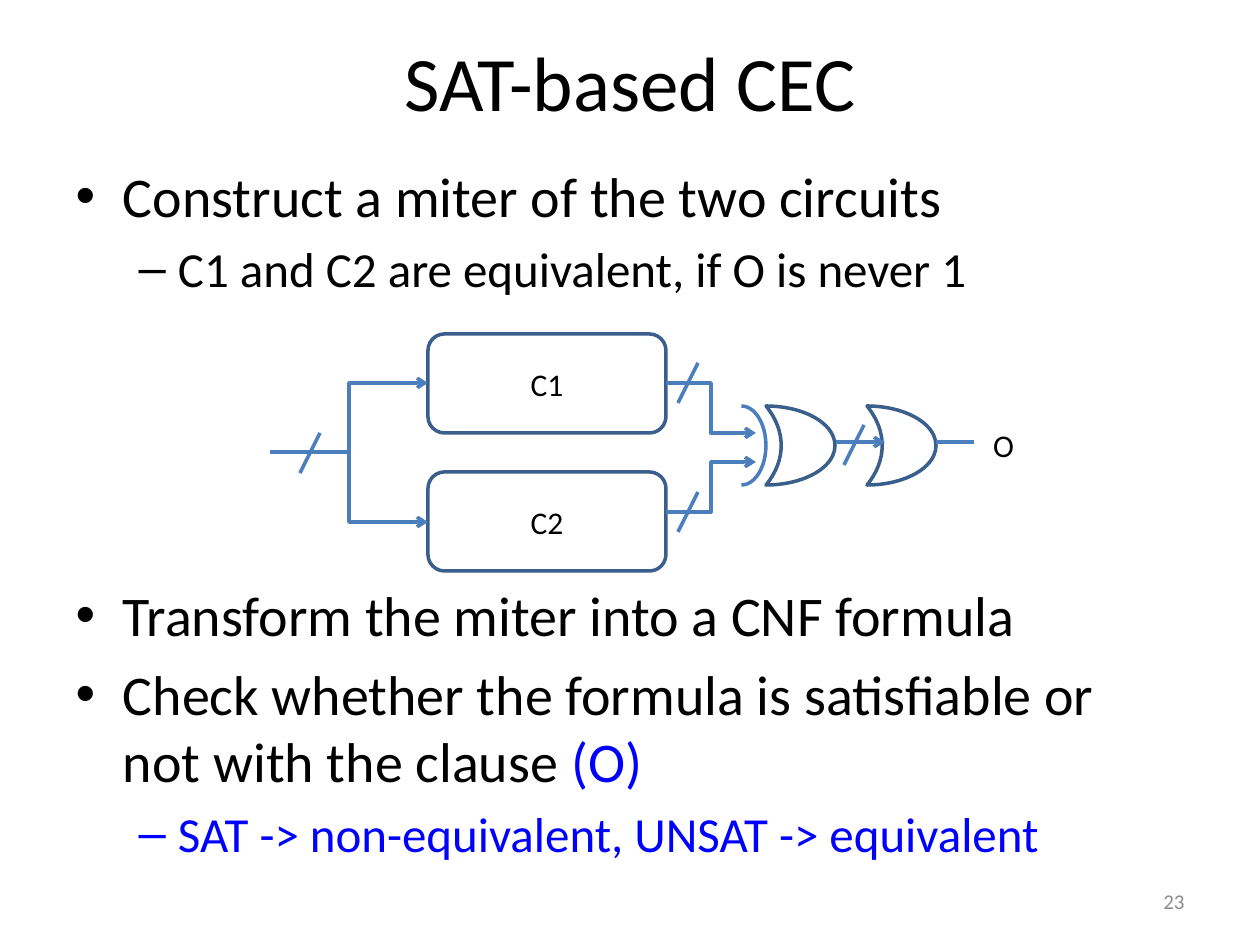
"""Build the slide that explains SAT-based equivalence checking with a miter circuit."""
import dataclasses

import lxml.etree
import pptx
import pptx.dml.color
import pptx.enum.shapes
import pptx.enum.text
import pptx.oxml.ns
import pptx.util

SCALE = 914400 / 126
SHAPES = pptx.enum.shapes.MSO_SHAPE
CONNECTORS = pptx.enum.shapes.MSO_CONNECTOR
ALIGN = pptx.enum.text.PP_ALIGN


@dataclasses.dataclass(frozen=True)
class Theme:
    font: str = "Calibri"
    text: str = "000000"
    accent: str = "0000FF"
    muted: str = "8C8C8C"
    outline: str = "3A5F8C"
    wire: str = "4B7EBC"
    title_size: int = 44
    body_sizes: tuple = (32, 28)
    label_size: int = 18
    number_size: int = 12
    line_width: int = 2


THEME = Theme()
BULLETS = [
    (0, [("Construct a miter of the two circuits", THEME.text)]),
    (1, [("C1 and C2 are equivalent, if O is never 1", THEME.text)]),
    (0, [("Transform the miter into a CNF formula", THEME.text)]),
    (0, [("Check whether the formula is satisfiable or not with the clause ", THEME.text),
         ("(O)", THEME.accent)]),
    (1, [("SAT -> non-equivalent, UNSAT -> equivalent", THEME.accent)]),
]
DIAGRAM_BULLET = 2
DIAGRAM_GAP = 162


def px(*lengths):
    """Turn pixel lengths into EMU."""
    return [round(length * SCALE) for length in lengths]


def rgb(color):
    """Return the colour object of a hex value."""
    return pptx.dml.color.RGBColor.from_string(color)


def place(shape, *box):
    """Move a shape to a pixel box."""
    shape.left, shape.top, shape.width, shape.height = px(*box)


def style_run(run, size, color):
    """Give a run the theme font, a size and a colour."""
    run.font.name = THEME.font
    run.font.size = pptx.util.Pt(size)
    run.font.color.rgb = rgb(color)


def set_text(shape, text, size, color=THEME.text, align=ALIGN.CENTER):
    """Write one formatted line, centred vertically."""
    frame = shape.text_frame
    frame.text = text
    frame.vertical_anchor = pptx.enum.text.MSO_ANCHOR.MIDDLE
    frame.paragraphs[0].alignment = align
    style_run(frame.paragraphs[0].runs[0], size, color)


def set_line(item, color):
    """Give a shape or connector the theme outline."""
    item.line.color.rgb = rgb(color)
    item.line.width = pptx.util.Pt(THEME.line_width)


def add_body(slide):
    """Fill the body placeholder, with room left for the diagram."""
    body = slide.placeholders[1]
    place(body, 63, 155, 1134, 745)
    frame = body.text_frame
    frame.auto_size = pptx.enum.text.MSO_AUTO_SIZE.NONE
    for index, (level, segments) in enumerate(BULLETS):
        paragraph = frame.add_paragraph() if index else frame.paragraphs[0]
        paragraph.level = level
        if index == DIAGRAM_BULLET:
            paragraph.space_before = pptx.util.Pt(DIAGRAM_GAP)
        for text, color in segments:
            run = paragraph.add_run()
            run.text = text
            style_run(run, THEME.body_sizes[level], color)


def add_outline(slide, kind, box, color=THEME.outline, adjustments=(), rotation=0):
    """Add an unfilled preset shape."""
    shape = slide.shapes.add_shape(kind, *px(*box))
    shape.shadow.inherit = False
    shape.fill.background()
    set_line(shape, color)
    shape.rotation = rotation
    for index, value in enumerate(adjustments):
        shape.adjustments[index] = value
    return shape


def add_circuit(slide, name, top):
    """Add a rounded box for one circuit."""
    shape = add_outline(slide, SHAPES.ROUNDED_RECTANGLE, (428, top, 238, 99))
    set_text(shape, name, THEME.label_size)


def add_gate(slide, left):
    """Add the body of an OR gate."""
    add_outline(slide, SHAPES.MOON, (left, 406, 69, 79), adjustments=[0.78], rotation=180)


def add_wire(slide, start, end, kind=CONNECTORS.STRAIGHT, arrow=False):
    """Add a wire, with an arrowhead at its end if asked."""
    wire = slide.shapes.add_connector(kind, *px(*start, *end))
    set_line(wire, THEME.wire)
    if arrow:
        head = lxml.etree.SubElement(wire.line._get_or_add_ln(), pptx.oxml.ns.qn("a:tailEnd"))
        head.set("type", "arrow")
    lxml.etree.SubElement(wire._element.spPr, pptx.oxml.ns.qn("a:effectLst"))


def add_bus_mark(slide, right, top):
    """Add the slash that marks a wire as a bus."""
    add_wire(slide, (right, top), (right - 20, top + 40))


def add_text_box(slide, box, text, size, color, align, wrap):
    """Add a text box with one line."""
    shape = slide.shapes.add_textbox(*px(*box))
    shape.text_frame.word_wrap = wrap
    set_text(shape, text, size, color, align)


def add_miter(slide):
    """Draw the two circuits, their wires and the output gates."""
    for name, top, middle in (("C1", 334, 383), ("C2", 472, 522)):
        add_circuit(slide, name, top)
        add_wire(slide, (270, 452), (428, middle), CONNECTORS.ELBOW, arrow=True)
    for start, end in ((383, 433), (512, 462)):
        add_wire(slide, (666, start), (756, end), CONNECTORS.ELBOW, arrow=True)
    add_outline(slide, SHAPES.ARC, (717, 406, 49, 79), THEME.wire, [162, 54.02])
    for left in (766, 867):
        add_gate(slide, left)
    add_wire(slide, (836, 442), (885, 442), arrow=True)
    add_wire(slide, (936, 442), (974, 442))
    for right, top in ((320, 433), (698, 363), (698, 492), (864, 425)):
        add_bus_mark(slide, right, top)
    add_text_box(slide, (980, 420, 47, 50), "O", THEME.label_size, THEME.text,
                 ALIGN.CENTER, False)


def main():
    """Build and save the slide."""
    presentation = pptx.Presentation()
    presentation.slide_width, presentation.slide_height = px(1260, 945)
    slide = presentation.slides.add_slide(presentation.slide_layouts[1])
    place(slide.shapes.title, 63, 16, 1134, 129)
    set_text(slide.shapes.title, "SAT-based CEC", THEME.title_size)
    add_body(slide)
    add_text_box(slide, (903, 876, 294, 50), "23", THEME.number_size, THEME.muted,
                 ALIGN.RIGHT, True)
    add_miter(slide)
    presentation.save("out.pptx")


if __name__ == "__main__":
    main()
